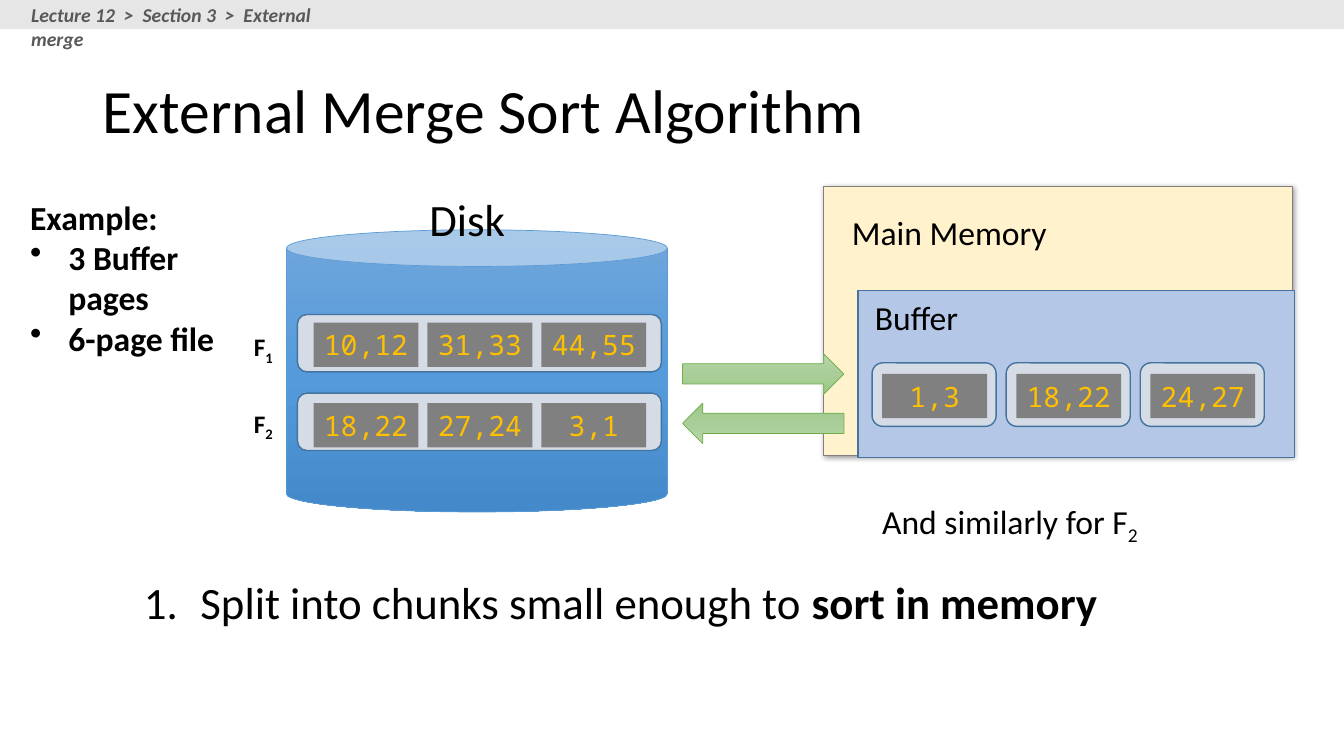
from copy import deepcopy
from dataclasses import dataclass

from lxml import etree
from pptx import Presentation, util as u
from pptx.dml.color import RGBColor
from pptx.enum import shapes, text
from pptx.oxml import ns

EMU_PER_PX = 9144  # 100 px to the inch
SANS, MONO = "Calibri", "Noto Sans Mono"
COLORS = {
    "black": "000000", "header": "E7E6E6", "header_text": "595959",
    "slot": "D6DCE5", "edge": "43739E", "page": "808080", "page_text": "FFC000",
    "memory": "FFF2CC", "buffer": "B4C7E7", "disk_edge": "5B9BD5", "arrow_edge": "70AD47",
}
DISK_SHADES = ("71A6DB", "559BDB", "448ACA")
ARROW_SHADES = ("B5D5A7", "AACE9A", "9CC987")
SHAPE = shapes.MSO_SHAPE
LEFT, CENTER = text.PP_ALIGN.LEFT, text.PP_ALIGN.CENTER


@dataclass(frozen=True)
class Box:
    left: int
    top: int
    width: int
    height: int

    def emu(self) -> list[int]:
        return [v * EMU_PER_PX for v in (self.left, self.top, self.width, self.height)]


@dataclass(frozen=True)
class Run:
    text: str
    bold: bool = False
    italic: bool = False
    subscript: bool = False


@dataclass(frozen=True)
class Style:
    size: int
    color: str = "black"
    face: str = SANS
    align: text.PP_ALIGN = LEFT


@dataclass(frozen=True)
class Label:
    box: Box
    runs: tuple[Run, ...]
    style: Style
    wrap: bool = True


@dataclass(frozen=True)
class FileRow:
    index: str
    slot_top: int
    page_top: int
    label_top: int
    pages: tuple[str, ...]


def sub(parent, tag: str, **attrs: str):
    return etree.SubElement(parent, ns.qn(tag), attrs)


def rgb(name: str) -> RGBColor:
    return RGBColor.from_string(COLORS[name])


def write(paragraph, runs: tuple[Run, ...], style: Style) -> None:
    paragraph.alignment = style.align
    for part in runs:
        run = paragraph.add_run()
        run.text = part.text
        font = run.font
        font.name, font.size = style.face, u.Pt(style.size)
        font.bold, font.italic = part.bold, part.italic
        font.color.rgb = rgb(style.color)
        if part.subscript:
            font._element.set("baseline", "-25000")


def bullet(paragraph, indent: int, tag: str, **attrs: str) -> None:
    props = paragraph._p.get_or_add_pPr()
    props.set("marL", str(indent * EMU_PER_PX))
    props.set("indent", str(-indent * EMU_PER_PX))
    sub(props, tag, **attrs)


def add_label(slide, label: Label):
    frame = slide.shapes.add_textbox(*label.box.emu()).text_frame
    frame.word_wrap = label.wrap
    write(frame.paragraphs[0], label.runs, label.style)
    return frame


def add_block(slide, kind: SHAPE, box: Box, fill: str = "", edge: str = "",
              weight: float = 1, shades: tuple[str, ...] = ()):
    block = slide.shapes.add_shape(kind, *box.emu())
    block.shadow.inherit = False
    if shades:
        block.fill.gradient()
        block.fill.gradient_angle = 270
        stops = block._element.spPr.find(".//" + ns.qn("a:gsLst"))
        stops.append(deepcopy(stops[-1]))
        for i, (stop, shade) in enumerate(zip(block.fill.gradient_stops, shades)):
            stop.position = i / 2
            stop.color.rgb = RGBColor.from_string(shade)
    else:
        block.fill.solid()
        block.fill.fore_color.rgb = rgb(fill)
    if edge:
        block.line.color.rgb = rgb(edge)
        block.line.width = u.Pt(weight)
    else:
        block.line.fill.background()
    return block


def add_slot(slide, box: Box) -> None:
    add_block(slide, SHAPE.ROUNDED_RECTANGLE, box, "slot", "edge")


def add_page(slide, left: int, top: int, values: str) -> None:
    page = add_block(slide, SHAPE.RECTANGLE, Box(left, top, 104, 44), "page")
    frame = page.text_frame
    frame.word_wrap = False
    frame.vertical_anchor = text.MSO_ANCHOR.MIDDLE
    write(frame.paragraphs[0], (Run(values),), Style(20, "page_text", MONO, CENTER))


def add_shadow(block) -> None:
    effects = block._element.spPr.find(ns.qn("a:effectLst"))
    shadow = sub(effects, "a:outerShdw", blurRad="50800", dist="12700",
                 dir="2700000", rotWithShape="0")
    sub(sub(shadow, "a:srgbClr", val=COLORS["black"]), "a:alpha", val="40000")


FILE_ROWS = (
    FileRow("1", 312, 320, 324, ("10,12", "31,33", "44,55")),
    FileRow("2", 390, 400, 400, ("18,22", "27,24", "3,1")),
)
BUFFER_PAGES = ("1,3", "18,22", "24,27")
LABELS = (
    Label(Box(21, -2, 349, 34),
          (Run("Lecture 12  >  Section 3  >  External merge", bold=True, italic=True),),
          Style(14, "header_text")),
    Label(Box(415, 185, 97, 64), (Run("Disk"),), Style(32, align=CENTER), wrap=False),
    Label(Box(835, 205, 215, 50), (Run("Main Memory"),), Style(24)),
    Label(Box(858, 290, 104, 50), (Run("Buffer"),), Style(24)),
    Label(Box(865, 492, 278, 50),
          (Run("And similarly for F"), Run("2", subscript=True)), Style(24)),
)


def main() -> None:
    deck = Presentation()
    deck.slide_width, deck.slide_height = 1333 * EMU_PER_PX, 750 * EMU_PER_PX
    slide = deck.slides.add_slide(deck.slide_layouts[5])

    # Title
    title = slide.shapes.title
    title.left, title.top, title.width, title.height = Box(92, 40, 1150, 145).emu()
    title.text_frame.vertical_anchor = text.MSO_ANCHOR.MIDDLE
    heading = title.text_frame.paragraphs[0]
    heading.line_spacing = 0.9
    write(heading, (Run("External Merge Sort Algorithm"),), Style(44))

    # Header band, disk and memory
    add_block(slide, SHAPE.RECTANGLE, Box(0, 0, 1333, 29), "header")
    disk = add_block(slide, SHAPE.CAN, Box(284, 228, 378, 280),
                     edge="disk_edge", weight=0.5, shades=DISK_SHADES)
    disk.adjustments[0] = 0.13
    memory = add_block(slide, SHAPE.RECTANGLE, Box(817, 185, 465, 267), "memory", "page", 0.5)
    add_shadow(memory)
    add_block(slide, SHAPE.RECTANGLE, Box(851, 288, 433, 166), "buffer", "edge")

    # Files on disk
    for row in FILE_ROWS:
        add_slot(slide, Box(295, row.slot_top, 361, 57))
        for i, values in enumerate(row.pages):
            add_page(slide, 311 + 113 * i, row.page_top, values)
        add_label(slide, Label(Box(242, row.label_top, 40, 40),
                               (Run("F", bold=True), Run(row.index, bold=True, subscript=True)),
                               Style(18), wrap=False))

    # Buffer pages
    for i, values in enumerate(BUFFER_PAGES):
        left = 865 + 133 * i
        add_slot(slide, Box(left, 360, 123, 63))
        add_page(slide, left + 10, 371, values)

    # Transfers between disk and memory
    for top, rotation in ((351, 0), (400, 180)):
        arrow = add_block(slide, SHAPE.RIGHT_ARROW, Box(677, top, 160, 40),
                          edge="arrow_edge", weight=0.5, shades=ARROW_SHADES)
        arrow.rotation = rotation

    for label in LABELS:
        add_label(slide, label)

    # Numbered step
    step = add_label(slide, Label(Box(133, 571, 1150, 59),
                                  (Run("Split into chunks small enough to "),
                                   Run("sort in memory", bold=True)), Style(32))).paragraphs[0]
    step.line_spacing = 0.9
    bullet(step, 56, "a:buAutoNum", type="arabicPeriod")

    # Example facts
    example = add_label(slide, Label(Box(20, 190, 251, 131),
                                     (Run("Example:", bold=True),), Style(24)))
    for fact in ("3 Buffer pages", "6-page file"):
        item = example.add_paragraph()
        bullet(item, 38, "a:buChar", char="•")
        write(item, (Run(fact, bold=True),), Style(24))

    deck.save("out.pptx")


if __name__ == "__main__":
    main()
